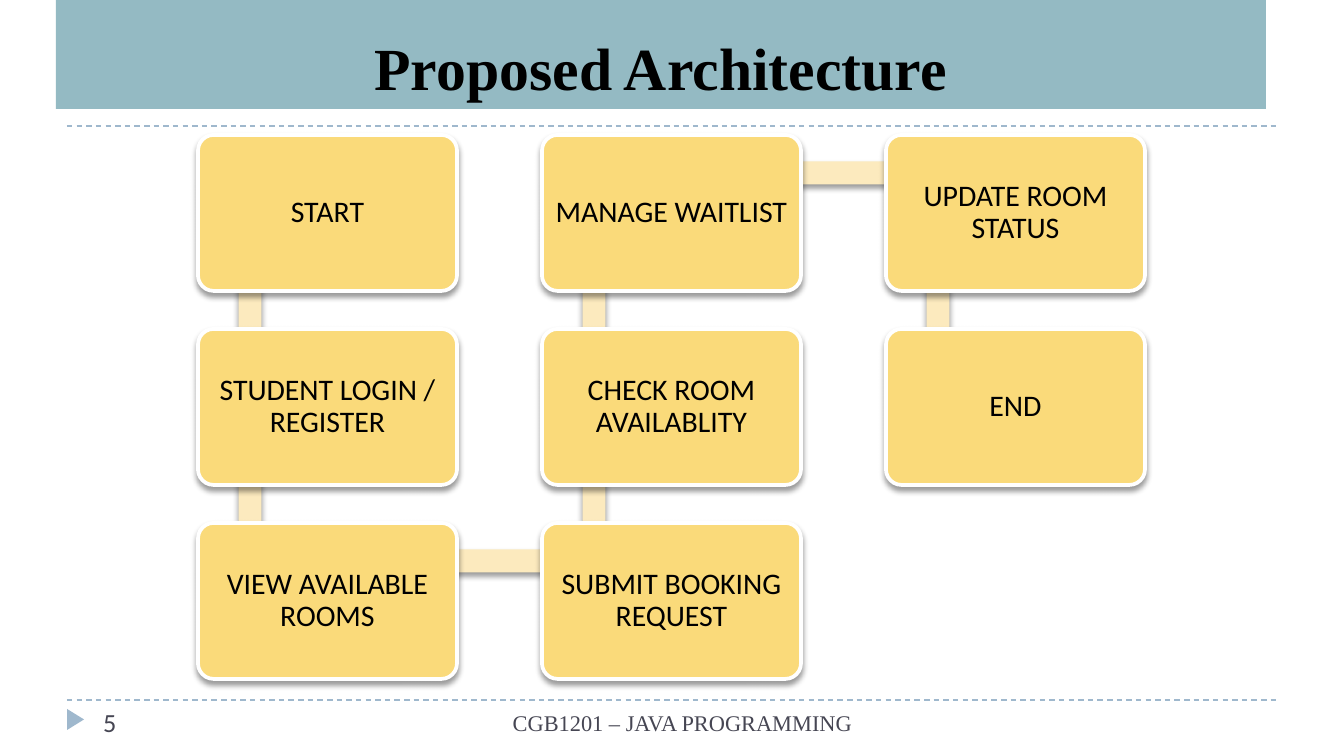
import math
from itertools import zip_longest

from lxml import etree
from pptx import Presentation
from pptx import util as u
from pptx.dml.color import RGBColor
from pptx.enum import dml, shapes, text
from pptx.oxml import parse_xml
from pptx.oxml.ns import nsdecls, qn

EMU_PER_PX = 914400 / 134.4

WHITE, BLACK, SLATE = "FFFFFF", "000000", "464653"
TEAL, BLUE, YELLOW, CREAM = "94BAC3", "9FB8CD", "FADA7A", "FCEABE"
SERIF, SANS = "Times New Roman", "Calibri"

BOX_WIDTH, BOX_HEIGHT = 259, 156
GRID_LEFT, GRID_TOP = 198, 135
COLUMN_STEP, ROW_STEP = 344, 194
BAR_OFFSET_X, BAR_OFFSET_Y = 52, 38
BAR_THICKNESS = 23

# Label, column, row, in order of flow
STEPS = [
    ("START", 0, 0),
    ("STUDENT LOGIN / REGISTER", 0, 1),
    ("VIEW AVAILABLE ROOMS", 0, 2),
    ("SUBMIT BOOKING REQUEST", 1, 2),
    ("CHECK ROOM AVAILABLITY", 1, 1),
    ("MANAGE WAITLIST", 1, 0),
    ("UPDATE ROOM STATUS", 2, 0),
    ("END", 2, 1),
]


def px(value):
    return u.Emu(round(value * EMU_PER_PX))


def color(value):
    return RGBColor.from_string(value)


def set_values(target, values):
    for name, value in values.items():
        setattr(target, name, value)


def add_shape(slide, kind, left, top, width, height, fill):
    """Add a preset shape with a plain fill, no line and no shadow."""
    shape = slide.shapes.add_shape(kind, px(left), px(top), px(width), px(height))
    shape.shadow.inherit = False
    shape.fill.solid()
    shape.fill.fore_color.rgb = color(fill)
    shape.line.fill.background()
    return shape


def add_soft_shadow(shape):
    properties = shape._element.spPr
    properties.remove(properties.find(qn("a:effectLst")))
    properties.append(parse_xml(
        f'<a:effectLst {nsdecls("a")}><a:outerShdw blurRad="38100" dist="25400" '
        'dir="5400000" rotWithShape="0"><a:srgbClr val="000000">'
        '<a:alpha val="40000"/></a:srgbClr></a:outerShdw></a:effectLst>'))


def write_text(shape, words, font, align=text.PP_ALIGN.CENTER, spacing=1.0, **frame):
    set_values(shape.text_frame, {"word_wrap": True, **frame})
    paragraph = shape.text_frame.paragraphs[0]
    set_values(paragraph, {"alignment": align, "line_spacing": spacing})
    run = paragraph.add_run()
    run.text = words
    values = dict(font)
    run.font.color.rgb = color(values.pop("color"))
    set_values(run.font, values)


def add_text_box(slide, left, top, width, height, words, font, align):
    box = slide.shapes.add_textbox(px(left), px(top), px(width), px(height))
    write_text(box, words, font, align)


def add_dashed_rule(slide, y):
    rule = slide.shapes.add_connector(
        shapes.MSO_CONNECTOR.STRAIGHT, px(67), px(y), px(1277), px(y))
    rule.line.color.rgb = color(BLUE)
    set_values(rule.line, {"width": u.Pt(0.75),
                           "dash_style": dml.MSO_LINE_DASH_STYLE.DASH})
    etree.SubElement(rule._element.spPr, qn("a:effectLst"))


def add_title(slide):
    banner = add_shape(slide, shapes.MSO_SHAPE.RECTANGLE, 56, 0, 1210, 109, TEAL)
    font = {"size": u.Pt(32), "name": SERIF, "bold": True, "color": BLACK}
    write_text(banner, "Proposed Architecture", font,
               vertical_anchor=text.MSO_ANCHOR.BOTTOM)


def add_footer(slide):
    marker = add_shape(slide, shapes.MSO_SHAPE.ISOSCELES_TRIANGLE,
                       65, 711, 21, 17, BLUE)
    marker.rotation = 90
    add_text_box(slide, 386, 703, 593, 34, "CGB1201 – JAVA PROGRAMMING",
                 {"size": u.Pt(12), "name": SERIF, "color": SLATE},
                 text.PP_ALIGN.CENTER)
    add_text_box(slide, 90, 700, 292, 40, "5",
                 {"size": u.Pt(14), "name": SANS, "color": SLATE},
                 text.PP_ALIGN.LEFT)


def box_corner(column, row):
    return GRID_LEFT + column * COLUMN_STEP, GRID_TOP + row * ROW_STEP


def add_bar(slide, start, end):
    """Join the grid cells start and end with a bar turned along the flow."""
    (x1, y1), (x2, y2) = box_corner(*start), box_corner(*end)
    length = math.hypot(x2 - x1, y2 - y1)
    left = (x1 + x2 - length) / 2 + BAR_OFFSET_X
    top = (y1 + y2 - BAR_THICKNESS) / 2 + BAR_OFFSET_Y
    bar = add_shape(slide, shapes.MSO_SHAPE.RECTANGLE,
                    left, top, length, BAR_THICKNESS, CREAM)
    bar.rotation = math.degrees(math.atan2(y2 - y1, x2 - x1)) % 360
    add_soft_shadow(bar)


def add_step(slide, label, cell):
    box = add_shape(slide, shapes.MSO_SHAPE.ROUNDED_RECTANGLE,
                    *box_corner(*cell), BOX_WIDTH, BOX_HEIGHT, YELLOW)
    box.adjustments[0] = 0.1
    box.line.color.rgb = color(WHITE)
    box.line.width = u.Pt(2)
    add_soft_shadow(box)
    margins = {f"margin_{side}": px(9) for side in ("left", "top", "right", "bottom")}
    write_text(box, label, {"size": u.Pt(16), "name": SANS, "color": BLACK},
               spacing=0.9, vertical_anchor=text.MSO_ANCHOR.MIDDLE, **margins)


def add_flow(slide):
    for (label, *cell), following in zip_longest(STEPS, STEPS[1:]):
        if following:
            add_bar(slide, cell, following[1:])
        add_step(slide, label, cell)


def main():
    presentation = Presentation()
    set_values(presentation, {"slide_width": px(1344), "slide_height": px(756)})
    slide = presentation.slides.add_slide(presentation.slide_layouts[6])
    for y in (700, 126):
        add_dashed_rule(slide, y)
    add_title(slide)
    add_footer(slide)
    add_flow(slide)
    presentation.save("out.pptx")


if __name__ == "__main__":
    main()
